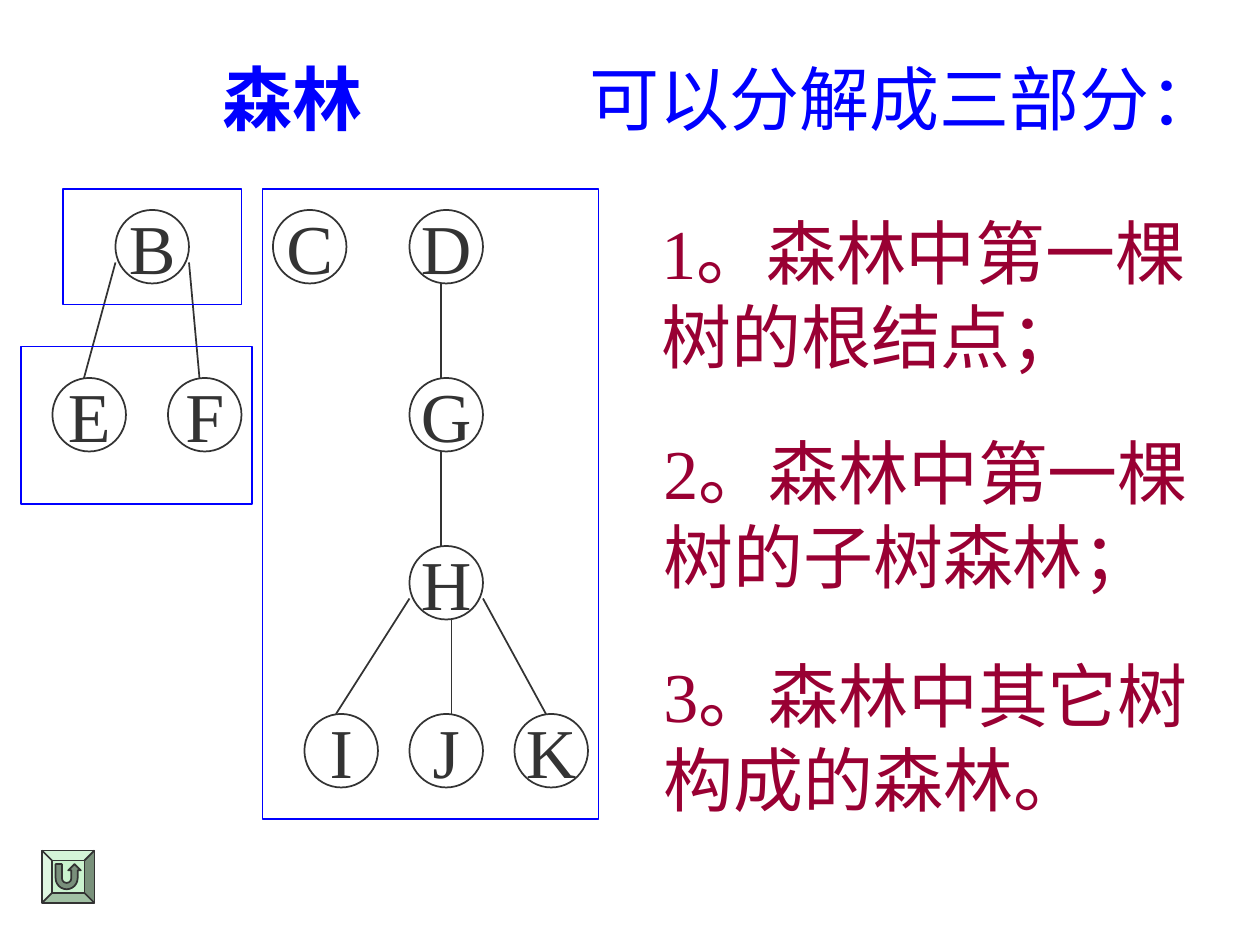
from lxml.etree import SubElement
from pptx import Presentation
from pptx.dml.color import RGBColor
from pptx.enum.shapes import MSO_CONNECTOR, MSO_SHAPE
from pptx.enum.text import MSO_ANCHOR, PP_ALIGN
from pptx.oxml.ns import qn
from pptx.util import Inches, Pt

INK, BLUE, RED = "333333", "0000FF", "990033"
LATIN, CJK = "Times New Roman", "Noto Sans CJK SC"

prs = Presentation()
prs.slide_width, prs.slide_height = Inches(10), Inches(7.5)
s = prs.slides.add_slide(prs.slide_layouts[6])
cell = prs.slide_width / 120  # the slide is a grid of 120 columns by 90 rows


def rgb(value):
    return RGBColor.from_string(value)


def add_shape(kind, box, line, fill=None):
    sp = s.shapes.add_shape(kind, *[round(v * cell) for v in box])
    sp.shadow.inherit = False
    sp.line.color.rgb = rgb(line)
    sp.line.width = Pt(1)
    if fill:
        sp.fill.solid()
        sp.fill.fore_color.rgb = rgb(fill)
    else:
        sp.fill.background()
    return sp


# Tree nodes: column and row of each circle
nodes = {"B": (11, 20), "C": (26, 20), "D": (39, 20),
         "E": (5, 36), "F": (16, 36), "G": (39, 36),
         "H": (39, 52),
         "I": (29, 68), "J": (39, 68), "K": (49, 68)}
frame = {"margin_left": 0, "margin_right": 0, "margin_top": 0, "margin_bottom": 0,
         "word_wrap": False, "vertical_anchor": MSO_ANCHOR.MIDDLE}
for letter, (col, row) in nodes.items():
    tf = add_shape(MSO_SHAPE.OVAL, (col, row, 7, 7), INK).text_frame
    for name, value in frame.items():
        setattr(tf, name, value)
    p = tf.paragraphs[0]
    p.alignment = PP_ALIGN.CENTER
    r = p.add_run()
    r.text = letter
    r.font.name, r.font.size = LATIN, Pt(40)
    r.font.color.rgb = rgb(INK)

# Tree branches
branches = [(11, 25, 8, 36), (18, 25, 19, 36), (42, 27, 42, 36), (42, 43, 42, 52),
            (43, 59, 43, 68), (39, 57, 32, 68), (46, 57, 52, 68)]
for ends in branches:
    line = s.shapes.add_connector(MSO_CONNECTOR.STRAIGHT, *[round(v * cell) for v in ends])
    line.line.color.rgb = rgb(INK)
    line.line.width = Pt(1)
    SubElement(line._element.spPr, qn("a:effectLst"))

# Frames: first root, its subtrees, the other trees
for box in [(6, 18, 17, 11), (2, 33, 22, 15), (25, 18, 32, 60)]:
    add_shape(MSO_SHAPE.RECTANGLE, box, BLUE)

# Title and the three parts: box, number, wording, colour, bold
texts = [((20, 4, 15.7, 9.2), "", "森林", BLUE, True),
         ((55, 4, 59.4, 9.2), "", "可以分解成三部分：", BLUE, False),
         ((61.8, 18.6, 56.2, 17.3), "1", "。森林中第一棵树的根结点；", RED, False),
         ((62, 39.6, 55, 17.3), "2", "。森林中第一棵树的子树森林；", RED, False),
         ((62, 60.8, 56.8, 17.3), "3", "。森林中其它树构成的森林。", RED, False)]
for box, number, wording, color, bold in texts:
    tf = s.shapes.add_textbox(*[round(v * cell) for v in box]).text_frame
    tf.word_wrap = not bold
    tf.margin_top = Inches(0.11)
    p = tf.paragraphs[0]
    p.line_spacing = Pt(48)
    for text, font in [(number, LATIN), (wording, CJK)]:
        if not text:
            continue
        r = p.add_run()
        r.text = text
        for name, value in {"name": font, "size": Pt(40), "bold": bold}.items():
            setattr(r.font, name, value)
        r.font.color.rgb = rgb(color)
        SubElement(r.font._element, qn("a:ea"), typeface=CJK)

# Return button: bevelled plate and a U-turn arrow pointing up
plate = add_shape(MSO_SHAPE.BEVEL, (4, 81, 5, 5), INK, "CAF2CE")
plate.adjustments[0] = 0.19
arrow = add_shape(MSO_SHAPE.U_TURN_ARROW, (5.3, 82.3, 2.4, 2.4), INK, "798F7B")
arrow.adjustments[4] = 1
arrow._element.spPr.find(qn("a:xfrm")).set("flipV", "1")

prs.save("out.pptx")
